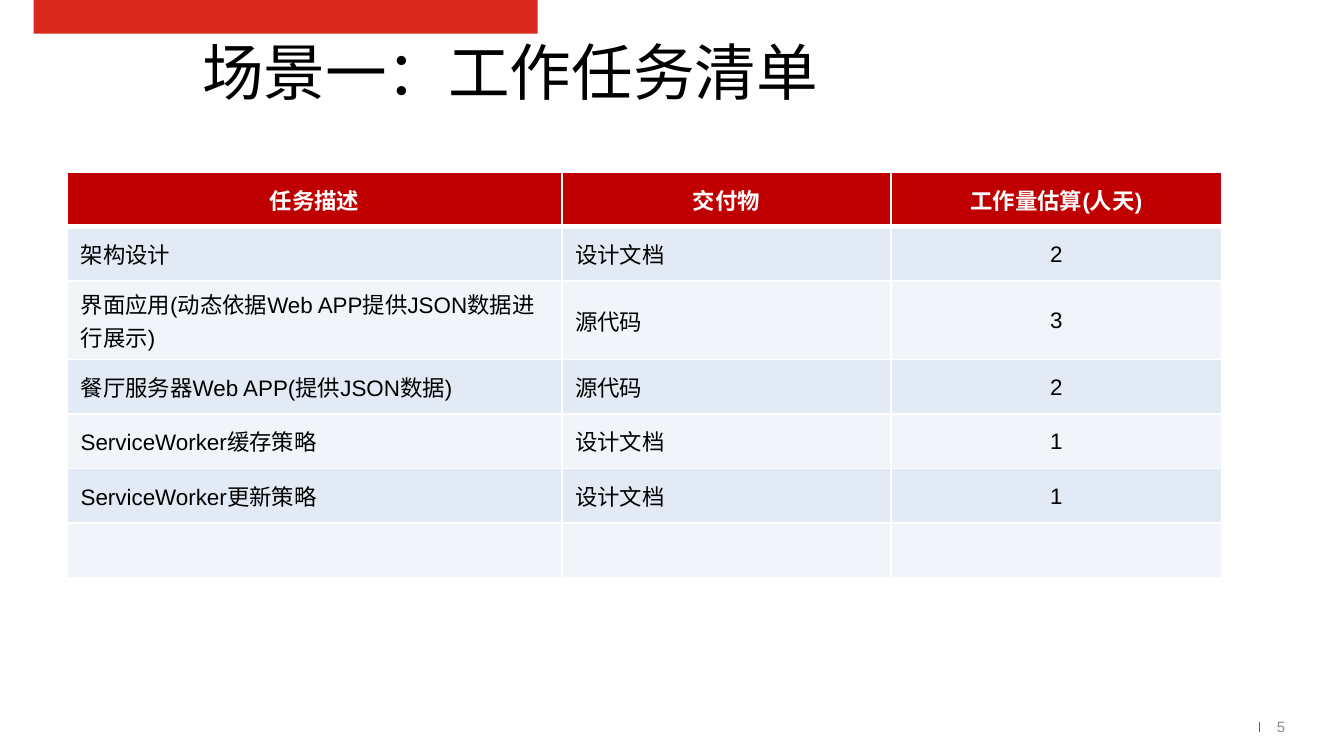
from lxml.etree import SubElement
from pptx import Presentation
from pptx.dml.color import RGBColor
from pptx.enum.shapes import MSO_CONNECTOR, MSO_SHAPE
from pptx.enum.text import MSO_ANCHOR, MSO_AUTO_SIZE, PP_ALIGN
from pptx.oxml.ns import qn
from pptx.util import Inches, Pt


def rgb(value):
    return RGBColor.from_string(value)


def add_run(paragraph, text, size, color, bold=False, font="Arial"):
    run = paragraph.add_run()
    run.text = text
    run.font.size = Pt(size)
    run.font.name = font
    run.font.bold = bold
    run.font.color.rgb = rgb(color)


# A 16:9 slide
prs = Presentation()
prs.slide_width = Inches(10)
prs.slide_height = Inches(10 * 9 / 16)
slide = prs.slides.add_slide(prs.slide_layouts[5])

# Red bar at the top
top_bar = slide.shapes.add_shape(
    MSO_SHAPE.RECTANGLE, Inches(0.25), Inches(0), Inches(3.75), Inches(0.25))
top_bar.shadow.inherit = False
top_bar.fill.solid()
top_bar.fill.fore_color.rgb = rgb("DA291C")
top_bar.line.fill.background()

# Title
title = slide.shapes.title
title.left, title.top = Inches(0.25), Inches(0.3)
title.width, title.height = Inches(7.09), Inches(0.5)

# Page number and its divider
page_number = slide.shapes.add_textbox(
    Inches(9.5), Inches(5.28), Inches(0.25), Inches(0.25))
divider = slide.shapes.add_connector(
    MSO_CONNECTOR.STRAIGHT, Inches(9.37), Inches(5.37), Inches(9.37), Inches(5.45))
divider.line.color.rgb = rgb("DA291C")
divider.line.width = Pt(0.5)
SubElement(divider._element.spPr, qn("a:effectLst"))

for box, text, size, color, anchor, align in [
    (title, "场景一：工作任务清单", 33, "000000", MSO_ANCHOR.BOTTOM, PP_ALIGN.CENTER),
    (page_number, "5", 8, "8C8C8C", MSO_ANCHOR.MIDDLE, PP_ALIGN.LEFT),
]:
    frame = box.text_frame
    frame.auto_size = MSO_AUTO_SIZE.NONE
    frame.word_wrap = True
    frame.margin_left = frame.margin_right = Inches(0)
    frame.margin_top = frame.margin_bottom = Inches(0)
    frame.vertical_anchor = anchor
    frame.paragraphs[0].alignment = align
    add_run(frame.paragraphs[0], text, size, color)

# Task table
tasks = [
    ("任务描述", "交付物", "工作量估算(人天)"),
    ("架构设计", "设计文档", "2"),
    ("界面应用(动态依据Web APP提供JSON数据进行展示)", "源代码", "3"),
    ("餐厅服务器Web APP(提供JSON数据)", "源代码", "2"),
    ("ServiceWorker缓存策略", "设计文档", "1"),
    ("ServiceWorker更新策略", "设计文档", "1"),
    ("", "", ""),
]
column_widths = [3.68, 2.45, 2.46]
table_height = 2.84
task_table = slide.shapes.add_table(
    len(tasks), len(column_widths), Inches(0.5), Inches(1.28),
    Inches(sum(column_widths)), Inches(table_height)).table
for column, width in zip(task_table.columns, column_widths):
    column.width = Inches(width)

for r, task in enumerate(tasks):
    task_table.rows[r].height = Inches(table_height / len(tasks))
    is_header = r == 0
    row_fill = "C00000" if is_header else ("F1F5FA", "E1EAF5")[r % 2]
    for c, text in enumerate(task):
        cell = task_table.cell(r, c)
        cell.vertical_anchor = MSO_ANCHOR.MIDDLE
        is_estimate = c == 2 and not is_header
        if is_estimate and text:
            cell.margin_left = cell.margin_right = cell.margin_top = Inches(0.01)
            cell.margin_bottom = Inches(0)

        # White borders, thicker between the header and the body
        for side in ("L", "R", "T", "B"):
            thick = (side == "B" and r == 0) or (side == "T" and r == 1)
            border = SubElement(cell._tc.get_or_add_tcPr(), qn("a:ln" + side),
                                w=str(Pt(3 if thick else 1)))
            SubElement(SubElement(border, qn("a:solidFill")),
                       qn("a:srgbClr"), val="FFFFFF")
        cell.fill.solid()
        cell.fill.fore_color.rgb = rgb(row_fill)

        if text:
            paragraph = cell.text_frame.paragraphs[0]
            centred = is_header or is_estimate
            paragraph.alignment = PP_ALIGN.CENTER if centred else PP_ALIGN.LEFT
            font = "Noto Sans CJK SC" if (r, c) == (1, 0) else "Arial"
            add_run(paragraph, text, 12, "FFFFFF" if is_header else "000000",
                    is_header, font)

prs.save("out.pptx")
